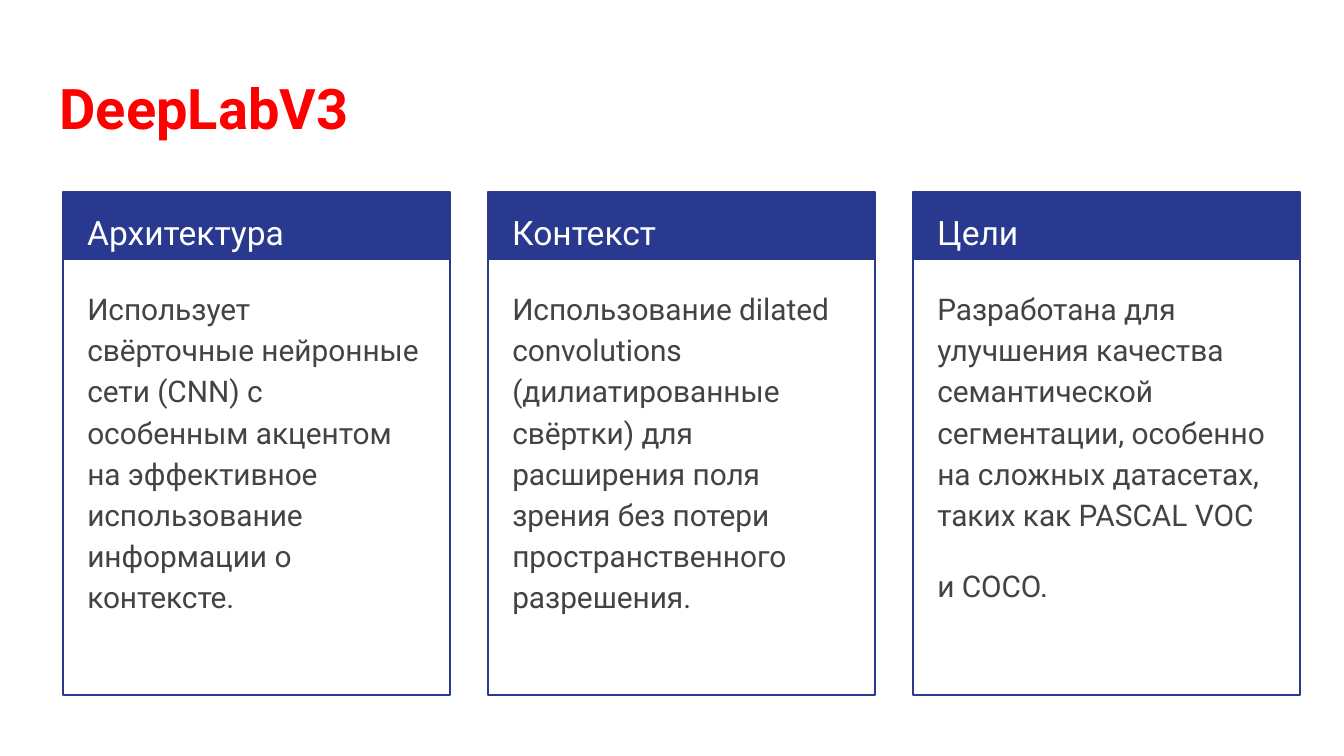
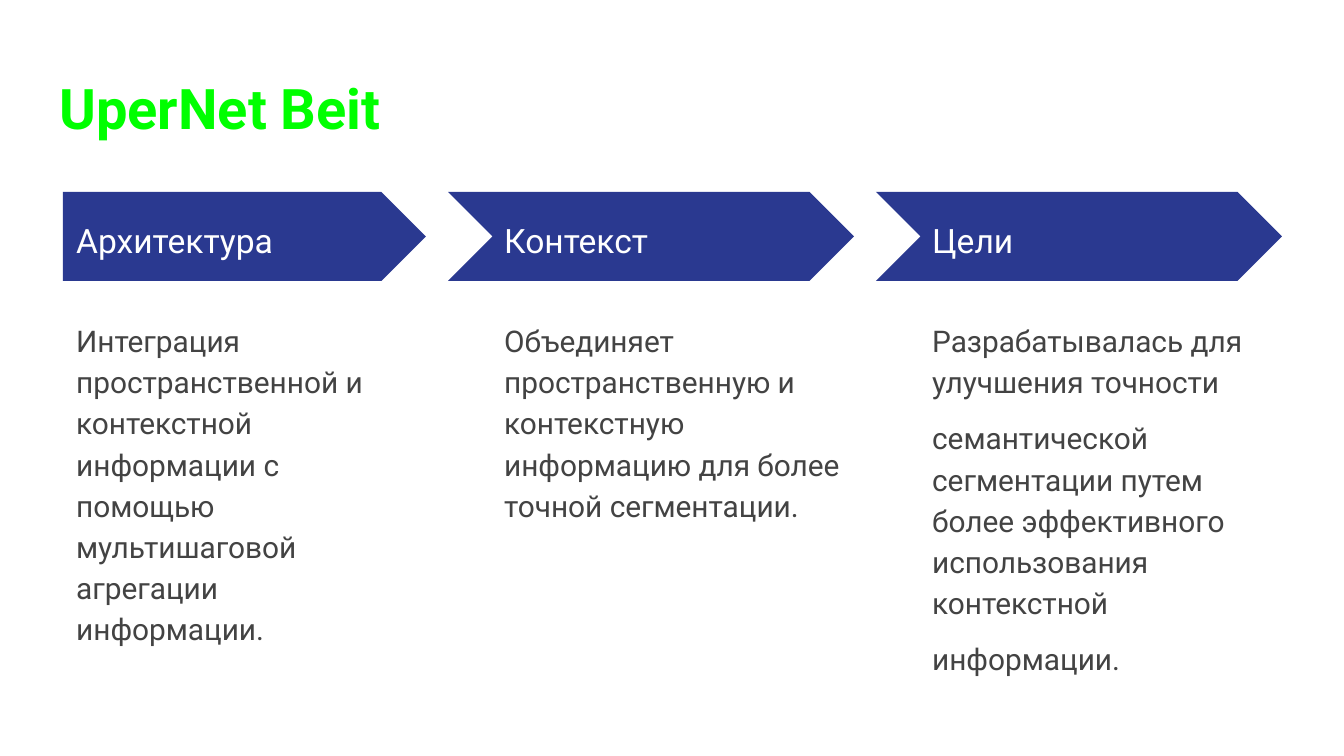
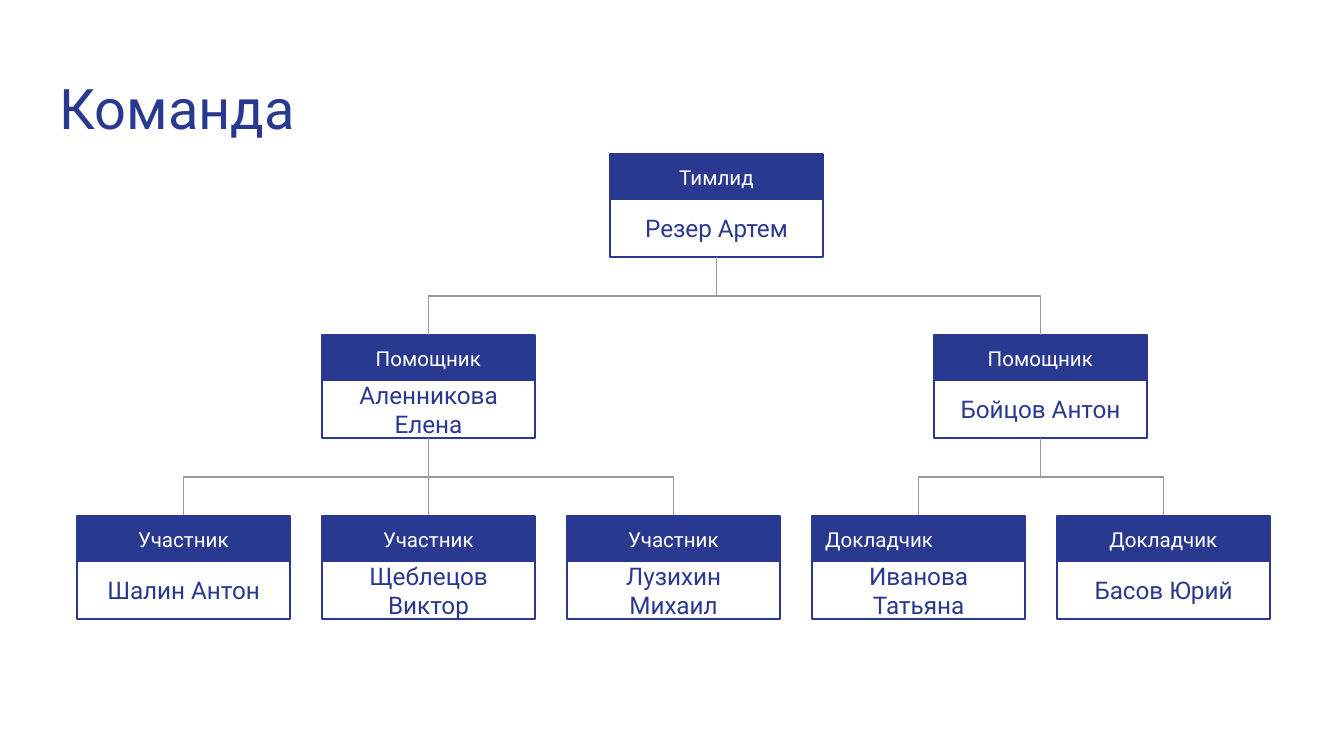
from dataclasses import dataclass

from pptx import Presentation
from pptx import util as u
from pptx.dml.color import RGBColor
from pptx.enum import shapes, text
from pptx.oxml.ns import qn

PX = 9144000 / 1344
KIND = shapes.MSO_SHAPE
MID = text.MSO_ANCHOR.MIDDLE
TOP = text.MSO_ANCHOR.TOP
LEFT = text.PP_ALIGN.LEFT
CENTER = text.PP_ALIGN.CENTER


@dataclass(frozen=True)
class Theme:
    font: str = "Roboto"
    navy: str = "2A3990"
    white: str = "FFFFFF"
    dark: str = "434343"
    gray: str = "999999"
    red: str = "FF0000"
    green: str = "00FF00"
    title: int = 30
    head: int = 18
    body: int = 16
    name: int = 13
    role: int = 11
    line: float = 0.75
    lead: float = 1.15


T = Theme()

# Column content: heading, then paragraphs
DEEP = [
    ("Архитектура", ["Использует свёрточные нейронные сети (CNN) с особенным "
                     "акцентом на эффективное использование информации о контексте."]),
    ("Контекст", ["Использование dilated convolutions (дилиатированные свёртки) "
                  "для расширения поля зрения без потери пространственного разрешения."]),
    ("Цели", ["Разработана для улучшения качества семантической сегментации, "
              "особенно на сложных датасетах, таких как PASCAL VOC",
              "и COCO."]),
]
UPER = [
    ("Архитектура", ["Интеграция пространственной и контекстной информации "
                     "с помощью мультишаговой агрегации информации."]),
    ("Контекст", ["Объединяет пространственную и контекстную информацию "
                  "для более точной сегментации."]),
    ("Цели", ["Разрабатывалась для улучшения точности",
              "семантической сегментации путем более эффективного "
              "использования контекстной",
              "информации."]),
]

# Team: helper, then members with the alignment of their role
TEAM = [
    ("Аленникова Елена", [("Участник", "Шалин Антон", CENTER),
                          ("Участник", "Щеблецов Виктор", CENTER),
                          ("Участник", "Лузихин Михаил", CENTER)]),
    ("Бойцов Антон", [("Докладчик", "Иванова Татьяна", LEFT),
                      ("Докладчик", "Басов Юрий", CENTER)]),
]
BOX_W, BOX_H, ROLE_H = 213, 103, 46
COL_X, COL_STEP = 77, 245
LEAD_X, TIER_Y, TIER_STEP = 610, 154, 181


def emu(*vals):
    return [u.Emu(round(v * PX)) for v in vals]


def rgb(code):
    return RGBColor.from_string(code)


# Text
def write(frame, paras, size, color, bold=False, align=LEFT, anchor=TOP,
          lead=None, gap=0):
    frame.word_wrap = True
    frame.auto_size = text.MSO_AUTO_SIZE.NONE
    frame.vertical_anchor = anchor
    frame.margin_left = frame.margin_right = u.Inches(0.1)
    frame.margin_top = frame.margin_bottom = u.Inches(0.1)
    for i, words in enumerate(paras):
        para = frame.add_paragraph() if i else frame.paragraphs[0]
        para.alignment = align
        para.space_before = u.Pt(gap if i else 0)
        para.line_spacing = lead
        run = para.add_run()
        run.text = words
        font = run.font
        font.name, font.size, font.bold = T.font, u.Pt(size), bold
        font.color.rgb = rgb(color)


def label(slide, area, paras, size, color, **style):
    box = slide.shapes.add_textbox(*emu(*area))
    write(box.text_frame, paras, size, color, **style)


def new_slide(prs, words, color, bold=False):
    slide = prs.slides.add_slide(prs.slide_layouts[5])
    title = slide.shapes.title
    title.left, title.top, title.width, title.height = emu(46, 60, 1252, 89)
    write(title.text_frame, [words], T.title, color, bold)
    return slide


# Shapes
def block(tree, kind, area, fill=None, line=None):
    shape = tree.add_shape(kind, *emu(*area))
    shape.shadow.inherit = False
    if fill:
        shape.fill.solid()
        shape.fill.fore_color.rgb = rgb(fill)
    else:
        shape.fill.background()
    if line:
        shape.line.color.rgb = rgb(line)
        shape.line.width = u.Pt(T.line)
    else:
        shape.line.fill.background()


def panel(tree, x, y, w, h, band):
    block(tree, KIND.RECTANGLE, (x, y, w, h), line=T.navy)
    block(tree, KIND.RECTANGLE, (x, y, w, band), fill=T.navy)


def link(tree, x1, y1, x2, y2):
    """Join two points by a line that leaves and arrives vertically."""
    kind, turn = shapes.MSO_CONNECTOR.STRAIGHT, 0
    ends = (x1, y1, x2, y2)
    if x1 != x2:
        # An elbow runs sideways first, so it is laid flat and then turned
        kind = shapes.MSO_CONNECTOR.ELBOW
        mid_x, mid_y = (x1 + x2) / 2, (y1 + y2) / 2
        half_h = abs(x2 - x1) / 2
        half_w = (y2 - y1) / 2 * (1 if x2 < x1 else -1)
        turn = 90 if x2 < x1 else 270
        ends = (mid_x - half_w, mid_y - half_h, mid_x + half_w, mid_y + half_h)
    line = tree.add_connector(kind, *emu(*ends))
    line.line.color.rgb = rgb(T.gray)
    line.line.width = u.Pt(T.line)
    props = line._element.spPr
    if turn:
        props.find(qn("a:xfrm")).set("rot", str(turn * 60000))
    props.append(props.makeelement(qn("a:effectLst"), {}))


# Slide parts
def card(slide, x, head, paras):
    panel(slide.shapes.add_group_shape().shapes, x, 192, 387, 503, 68)
    label(slide, (x + 11, 192, 367, 67), [head], T.head, T.white, lead=T.lead)
    label(slide, (x + 11, 272, 364, 411), paras, T.body, T.dark,
          lead=T.lead, gap=16)


def step(slide, x, head, paras, first):
    notch = 0 if first else 43
    kind = KIND.PENTAGON if first else KIND.CHEVRON
    block(slide.shapes, kind, (x - notch, 192, 363 + notch, 89), fill=T.navy)
    label(slide, (x, 214, 332, 46), [head], T.head, T.white,
          anchor=MID, lead=T.lead)
    label(slide, (x, 304, 363, 390), paras, T.body, T.dark,
          lead=T.lead, gap=8)


def person(slide, x, tier, role, name, align=CENTER):
    y = TIER_Y + tier * TIER_STEP
    panel(slide.shapes, x, y, BOX_W, BOX_H, ROLE_H)
    label(slide, (x, y + 9, BOX_W, 28), [role], T.role, T.white,
          align=align, anchor=MID)
    label(slide, (x, y + 60, BOX_W, 28), [name], T.name, T.navy,
          align=CENTER, anchor=MID)


def branch(slide, x, tier, kids):
    tree = slide.shapes.add_group_shape().shapes
    y = TIER_Y + tier * TIER_STEP
    for kid in kids:
        link(tree, x + BOX_W / 2, y + BOX_H, kid + BOX_W / 2, y + TIER_STEP)


# Slides
def deep_slide(prs):
    slide = new_slide(prs, "DeepLabV3", T.red, True)
    for i, (head, paras) in enumerate(DEEP):
        card(slide, 63 + 425 * i, head, paras)


def uper_slide(prs):
    slide = new_slide(prs, "UperNet Beit", T.green, True)
    for i, (head, paras) in enumerate(UPER):
        step(slide, 63 + 428 * i, head, paras, i == 0)


def team_slide(prs):
    slide = new_slide(prs, "Команда", T.navy)
    person(slide, LEAD_X, 0, "Тимлид", "Резер Артем")
    col, helpers = 0, []
    for helper, crew in TEAM:
        kids = [COL_X + COL_STEP * (col + i) for i in range(len(crew))]
        col += len(crew)
        x = (kids[0] + kids[-1]) // 2
        helpers.append(x)
        person(slide, x, 1, "Помощник", helper)
        branch(slide, x, 1, kids)
        for kid, (role, name, align) in zip(kids, crew):
            person(slide, kid, 2, role, name, align)
    branch(slide, LEAD_X, 0, helpers)


def main():
    prs = Presentation()
    prs.slide_width, prs.slide_height = emu(1344, 756)
    deep_slide(prs)
    uper_slide(prs)
    team_slide(prs)
    prs.save("out.pptx")


if __name__ == "__main__":
    main()
